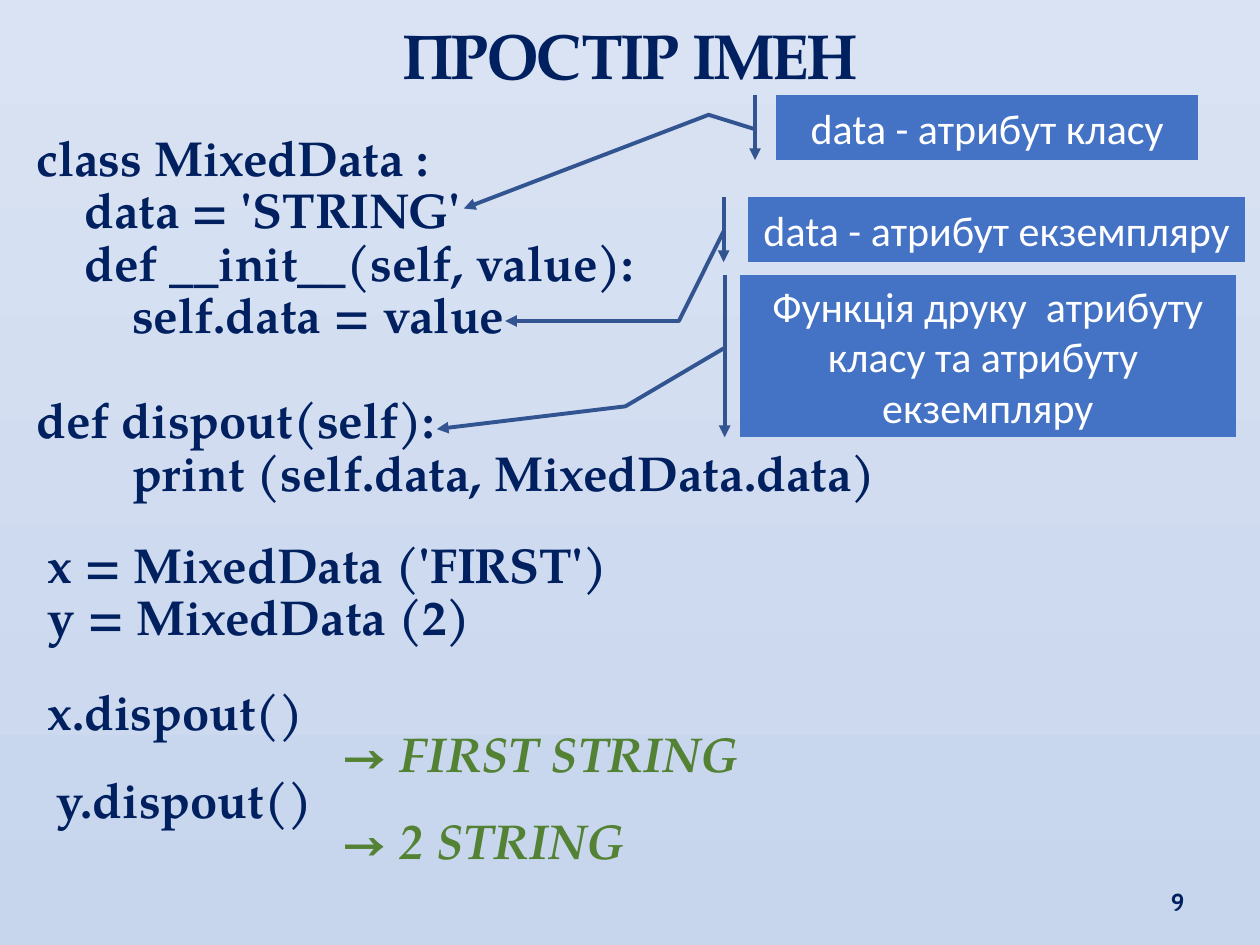
"""Build the slide on class and instance namespaces."""
from lxml import etree
from pptx import Presentation
from pptx import util as u
from pptx.dml.color import RGBColor
from pptx.enum import shapes, text
from pptx.oxml.ns import qn

COLORS = {"navy": "002060", "green": "548235", "blue": "4472C4", "edge": "325491",
          "white": "FFFFFF", "top": "DAE3F3", "bottom": "C7D5ED"}
SERIF = "TeX Gyre Pagella"
INDENT = 0.38
LINE = 30

TITLE = ("ПРОСТІР ІМЕН", (0.12, 0.08, 9.76, 0.71))
NUMBER = ("9", (9.02, 6.82, 0.48, 0.5))
CLASS_CODE = [(0, "class MixedData :"), (1, "data = 'STRING'"),
              (1, "def __init__(self, value):"), (2, "self.data = value"),
              (0, "def dispout(self):"), (2, "print (self.data, MixedData.data)")]
CODE = [
    ((0.19, 1.01, 7.02, 3.05), CLASS_CODE),
    ((0.28, 4.24, 5.04, 0.94), [(0, "x = MixedData ('FІRST')"), (0, "y = MixedData (2)")]),
    ((0.28, 5.41, 3.12, 0.52), [(0, "x.dispout()")]),
    ((0.35, 6.11, 3.12, 0.52), [(0, "y.dispout()")]),
]
OUTPUT = [((2.61, 5.74, 3.54, 0.52), [(0, "→ FIRST STRING")]),
          ((2.61, 6.43, 3.54, 0.52), [(0, "→ 2 STRING")])]
CALLOUTS = [
    ("data - атрибут класу", (6.16, 0.75, 3.35, 0.52),
     (0.53, -0.05, 0.31, -0.16, 1.74, -0.74)),
    ("data - атрибут екземпляру", (5.94, 1.56, 3.94, 0.52),
     (0.53, -0.05, 1.9, -0.14, 1.9, -0.49)),
    ("Функція друку  атрибуту класу та атрибуту  екземпляру", (5.87, 2.18, 3.94, 1.29),
     (0.45, -0.03, 0.81, -0.23, 0.95, -0.61)),
]


def rgb(name):
    """Return a named colour."""
    return RGBColor.from_string(COLORS[name])


def inches(box):
    """Return the lengths of a box in EMU."""
    return [u.Inches(v) for v in box]


def write(p, words, size=28, font=SERIF, color="navy", bold=True, italic=False,
          align=text.PP_ALIGN.LEFT):
    """Add one formatted run to a paragraph."""
    p.alignment = align
    r = p.add_run()
    r.text = words
    f = r.font
    f.size, f.name, f.bold, f.italic = u.Pt(size), font, bold, italic
    f.color.rgb = rgb(color)


def frame(sp, anchor=text.MSO_ANCHOR.TOP):
    """Prepare the text frame of a shape."""
    tf = sp.text_frame
    tf.word_wrap = True
    tf.auto_size = text.MSO_AUTO_SIZE.NONE
    tf.vertical_anchor = anchor
    return tf


def add_code(s, box, lines, **style):
    """Add a box of code lines, with a gap before each later function."""
    tf = frame(s.shapes.add_textbox(*inches(box)))
    previous = 0
    for i, (level, words) in enumerate(lines):
        p = tf.add_paragraph() if i else tf.paragraphs[0]
        p.line_spacing = u.Pt(LINE)
        p.space_before = u.Pt(LINE if level < previous else 0)
        if level:
            p._p.get_or_add_pPr().set("marL", str(u.Inches(level * INDENT)))
        write(p, words, **style)
        previous = level


def add_callout(s, words, box, bends):
    """Add a callout whose leader ends in an arrowhead."""
    sp = s.shapes.add_shape(shapes.MSO_SHAPE.LINE_CALLOUT_2_ACCENT_BAR, *inches(box))
    for i, value in enumerate(bends):
        sp.adjustments[i] = value
    sp.shadow.inherit = False
    sp.fill.solid()
    sp.fill.fore_color.rgb = rgb("blue")
    sp.line.color.rgb = rgb("edge")
    sp.line.width = u.Pt(2.25)
    etree.SubElement(sp.line._get_or_add_ln(), qn("a:tailEnd"), type="triangle")
    write(frame(sp, text.MSO_ANCHOR.MIDDLE).paragraphs[0], words, size=24, font="Calibri",
          color="white", bold=False, align=text.PP_ALIGN.CENTER)


def main():
    """Assemble and save the slide."""
    prs = Presentation()
    prs.slide_width, prs.slide_height = inches((10, 7.5))
    s = prs.slides.add_slide(prs.slide_layouts[5])
    fill = s.background.fill
    fill.gradient()
    fill.gradient_angle = 270
    for stop, name, position in zip(fill.gradient_stops, ("top", "bottom"), (0, 1)):
        stop.color.rgb, stop.position = rgb(name), position

    words, box = TITLE
    title = s.shapes.title
    title.left, title.top, title.width, title.height = inches(box)
    write(frame(title).paragraphs[0], words, size=36, align=text.PP_ALIGN.CENTER)

    words, box = NUMBER
    number = frame(s.shapes.add_textbox(*inches(box)), text.MSO_ANCHOR.BOTTOM)
    write(number.paragraphs[0], words, size=14, font="Cabin", align=text.PP_ALIGN.RIGHT)

    for box, lines in CODE:
        add_code(s, box, lines)
    for box, lines in OUTPUT:
        add_code(s, box, lines, color="green", italic=True)
    for callout in CALLOUTS:
        add_callout(s, *callout)
    prs.save("out.pptx")


if __name__ == "__main__":
    main()
